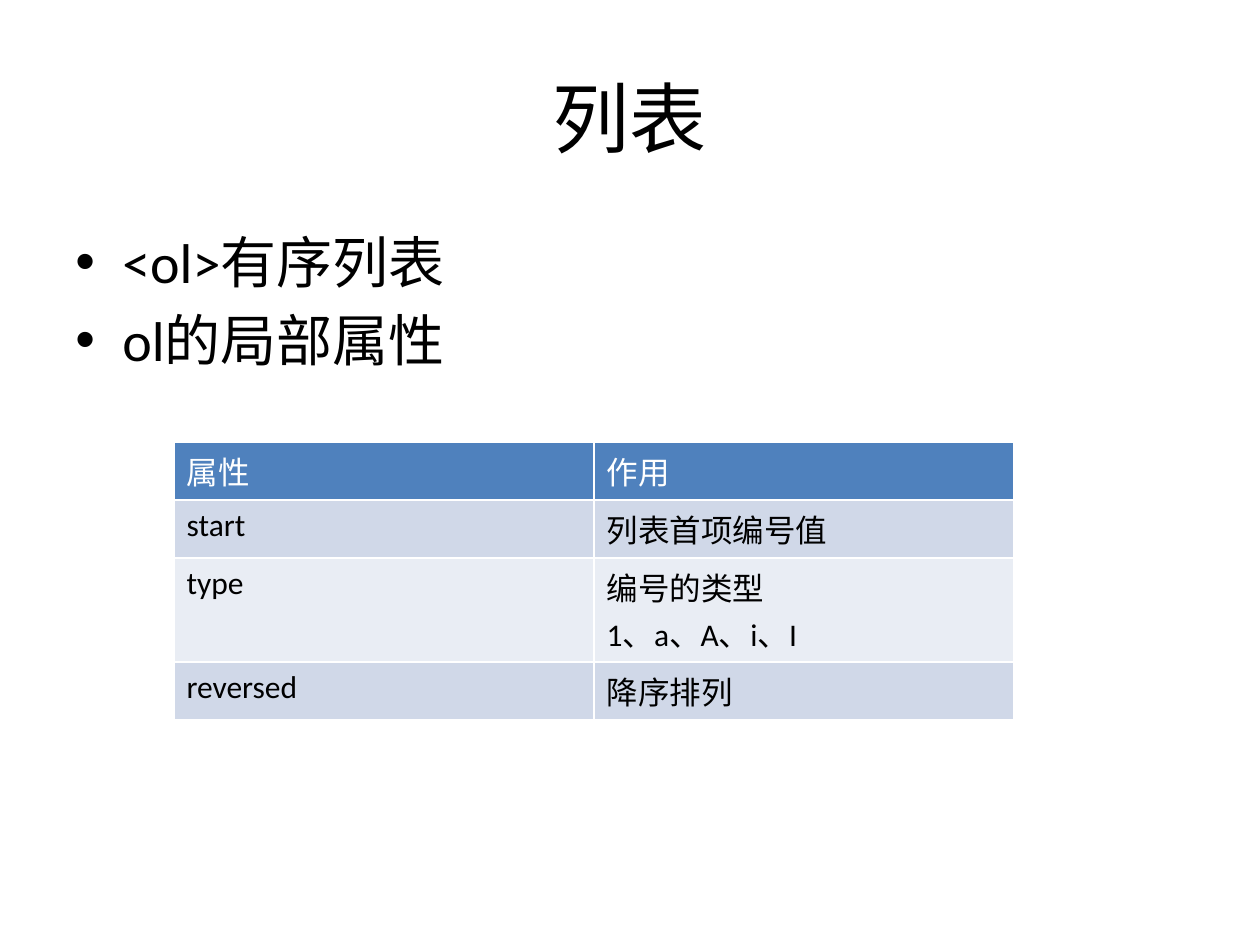
from lxml.etree import SubElement
from pptx import Presentation
from pptx.dml.color import RGBColor
from pptx.enum.text import MSO_ANCHOR, PP_ALIGN
from pptx.oxml.ns import qn
from pptx.util import Pt

PX = 914400 // 126


def box(*lengths):
    """Turn px lengths into EMU."""
    return [n * PX for n in lengths]


def style(p, size, color):
    for r in p.runs:
        r.font.name = "Calibri"
        r.font.size = Pt(size)
        r.font.bold = False
        r.font.color.rgb = RGBColor.from_string(color)


prs = Presentation()
prs.slide_width, prs.slide_height = box(1260, 945)
s = prs.slides.add_slide(prs.slide_layouts[5])

# Title
title = s.shapes.title
title.left, title.top, title.width, title.height = box(63, 38, 1134, 158)
tf = title.text_frame
tf.text = "列表"
tf.vertical_anchor = MSO_ANCHOR.MIDDLE
tf.paragraphs[0].alignment = PP_ALIGN.CENTER
style(tf.paragraphs[0], 44, "000000")

# Bullets
tf = s.shapes.add_textbox(*box(63, 221, 1134, 624)).text_frame
tf.word_wrap = True
tf.text = "<ol>有序列表\nol的局部属性"
for i, p in enumerate(tf.paragraphs):
    pPr = p._p.get_or_add_pPr()
    pPr.set("marL", str(47 * PX))
    pPr.set("indent", str(-47 * PX))
    SubElement(pPr, qn("a:buFont")).set("typeface", "Arial")
    SubElement(pPr, qn("a:buChar")).set("char", "•")
    if i:
        p.space_before = Pt(6.4)
    style(p, 32, "000000")

# Attribute table
rows = [
    ("属性", "作用"),
    ("start", "列表首项编号值"),
    ("type", "编号的类型\n1、a、A、i、I"),
    ("reversed", "降序排列"),
]
fills = ["4F81BD", "D0D8E8", "E9EDF4", "D0D8E8"]
heights = box(58, 58, 104, 58)
table = s.shapes.add_table(len(rows), 2, *box(174, 442, 840), sum(heights)).table
for i, (row, fill, height) in enumerate(zip(rows, fills, heights)):
    table.rows[i].height = height
    for j, text in enumerate(row):
        cell = table.cell(i, j)
        cell.fill.solid()
        cell.fill.fore_color.rgb = RGBColor.from_string(fill)
        cell.text_frame.text = text
        for p in cell.text_frame.paragraphs:
            style(p, 18, "000000" if i else "FFFFFF")

prs.save("out.pptx")
